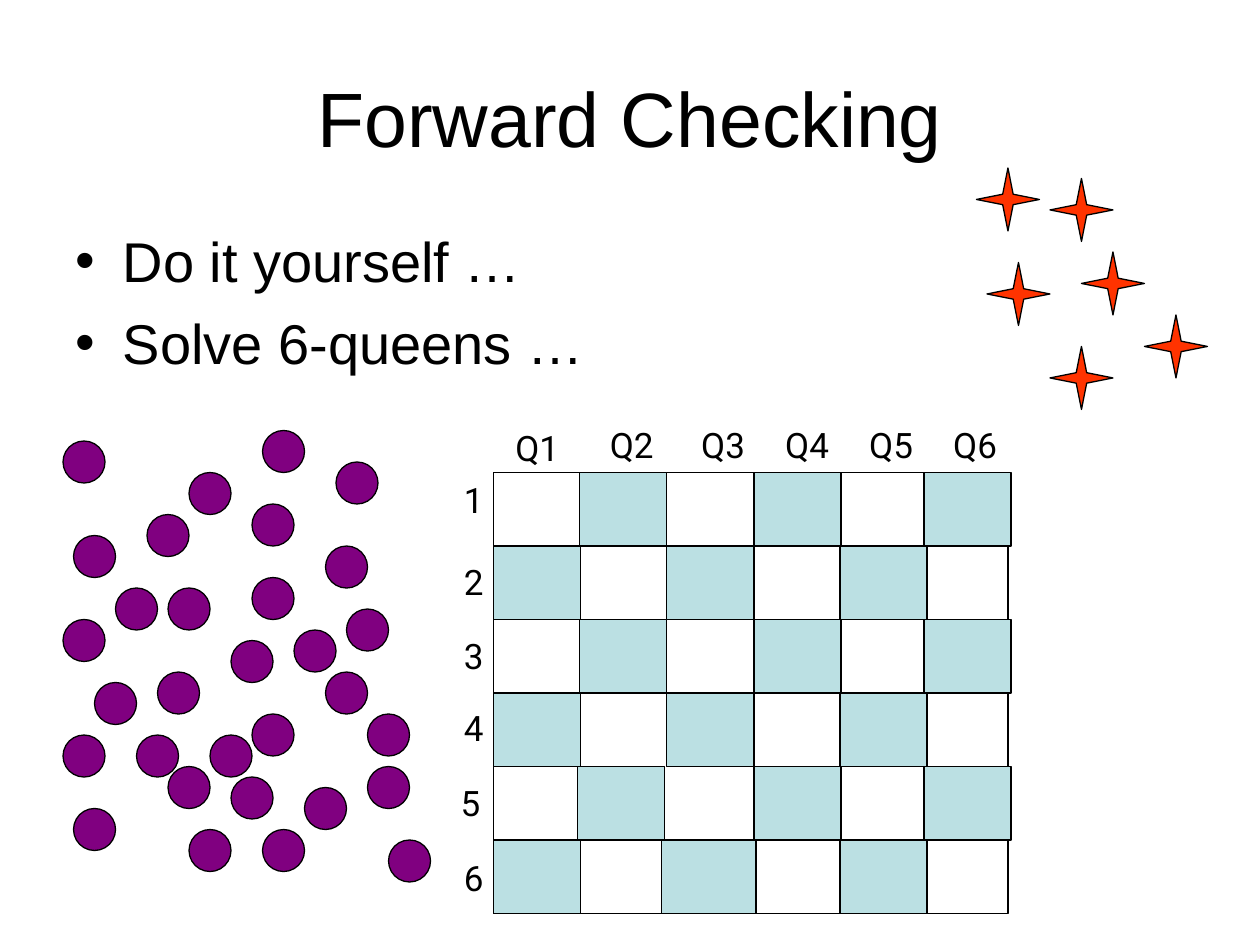
from dataclasses import dataclass

from pptx import Presentation
from pptx import util as u
from pptx.dml.color import RGBColor
from pptx.enum import shapes, text

PX = u.Inches(1) // 120


@dataclass(frozen=True)
class Theme:
    ink: RGBColor = RGBColor(0x00, 0x00, 0x00)
    square: RGBColor = RGBColor(0xBB, 0xE0, 0xE3)
    star: RGBColor = RGBColor(0xFF, 0x33, 0x00)
    dot: RGBColor = RGBColor(0x80, 0x00, 0x80)
    main_font: str = "Arial"
    label_font: str = "Roboto"
    title_size: int = 44
    bullet_size: int = 32
    label_size: int = 20
    outline: float = 0.75


THEME = Theme()

ROW_HEIGHT = 70
SQUARE_WIDTH = 83
BOARD_TOP = 450
COLUMN_LEFTS = [470, 552, 635, 718, 800, 880]
# Squares that break the column rule: (row, column) -> (left, width)
ODD_SQUARES = {(4, 1): (550, SQUARE_WIDTH), (5, 2): (630, 90)}

ROW_LABELS = [(430, 450), (430, 528), (430, 598), (430, 667), (427, 738), (430, 810)]
COLUMN_LABELS = [(479, 400), (569, 397), (656, 397), (736, 397), (816, 397), (896, 397)]

STAR_OUTLINE = [(0, 30), (25, 25), (30, 0), (35, 25),
                (60, 30), (35, 35), (30, 60), (25, 35)]
STARS = [(1030, 240), (1000, 170), (940, 250), (1000, 330), (930, 160), (1090, 300)]

DOT_SIZE = 40
DOTS = [
    (70, 510), (60, 700), (160, 730), (60, 590), (220, 610), (160, 560),
    (150, 640), (240, 680), (180, 450), (310, 640), (290, 750), (70, 770),
    (180, 790), (250, 790), (90, 650), (60, 420), (330, 580), (350, 730),
    (350, 680), (370, 800), (240, 550), (240, 480), (320, 440), (140, 490),
    (310, 520), (250, 410), (280, 600), (110, 560), (200, 700), (220, 740),
    (130, 700),
]


def px(*lengths):
    return [length * PX for length in lengths]


def style_runs(paragraph, font, size):
    for run in paragraph.runs:
        run.font.name = font
        run.font.size = u.Pt(size)
        run.font.color.rgb = THEME.ink


def style_shape(shape, fill=None):
    shape.shadow.inherit = False
    if fill is None:
        shape.fill.background()
    else:
        shape.fill.solid()
        shape.fill.fore_color.rgb = fill
    shape.line.color.rgb = THEME.ink
    shape.line.width = u.Pt(THEME.outline)


def fill_placeholder(placeholder, box, lines, size):
    placeholder.left, placeholder.top, placeholder.width, placeholder.height = px(*box)
    placeholder.text_frame.text = "\n".join(lines)
    for paragraph in placeholder.text_frame.paragraphs:
        style_runs(paragraph, THEME.main_font, size)


def add_preset(parent, preset, box, fill=None):
    style_shape(parent.add_shape(preset, *px(*box)), fill)


def add_label(parent, caption, position, width):
    label = parent.add_textbox(*px(*position, width, 53))
    frame = label.text_frame
    frame.text = caption
    frame.word_wrap = False
    frame.auto_size = text.MSO_AUTO_SIZE.SHAPE_TO_FIT_TEXT
    style_runs(frame.paragraphs[0], THEME.label_font, THEME.label_size)


def add_star(parent, left, top):
    corners = [(left + x, top + y) for x, y in STAR_OUTLINE]
    builder = parent.build_freeform(*corners[0], scale=PX)
    builder.add_line_segments(corners[1:], close=True)
    style_shape(builder.convert_to_shape(), THEME.star)


def add_board(parent):
    """Chessboard with its row and column labels, as one group."""
    board = parent.add_group_shape().shapes
    rectangle = shapes.MSO_SHAPE.RECTANGLE
    count = len(COLUMN_LEFTS)
    add_preset(board, rectangle, (COLUMN_LEFTS[0], BOARD_TOP, 490, count * ROW_HEIGHT))
    for row in range(count):
        for column in range(count):
            if (row + column) % 2:
                left, width = ODD_SQUARES.get(
                    (row, column), (COLUMN_LEFTS[column], SQUARE_WIDTH))
                top = BOARD_TOP + row * ROW_HEIGHT
                add_preset(board, rectangle, (left, top, width, ROW_HEIGHT), THEME.square)
    for number, position in enumerate(ROW_LABELS, 1):
        add_label(board, str(number), position, 43)
    for number, position in enumerate(COLUMN_LABELS, 1):
        add_label(board, f"Q{number}", position, 68)


def main():
    deck = Presentation()
    deck.slide_width, deck.slide_height = px(1200, 900)
    slide = deck.slides.add_slide(deck.slide_layouts[1])
    title, body = slide.placeholders

    fill_placeholder(title, (60, 36, 1080, 150), ["Forward Checking"], THEME.title_size)
    fill_placeholder(body, (60, 210, 1080, 594),
                     ["Do it yourself …", "Solve 6-queens …"], THEME.bullet_size)
    for bullet in body.text_frame.paragraphs:
        bullet.space_before = u.Pt(8)

    add_board(slide.shapes)
    for position in STARS:
        add_star(slide.shapes, *position)
    for position in DOTS:
        add_preset(slide.shapes, shapes.MSO_SHAPE.OVAL,
                   (*position, DOT_SIZE, DOT_SIZE), THEME.dot)

    deck.save("out.pptx")


if __name__ == "__main__":
    main()
